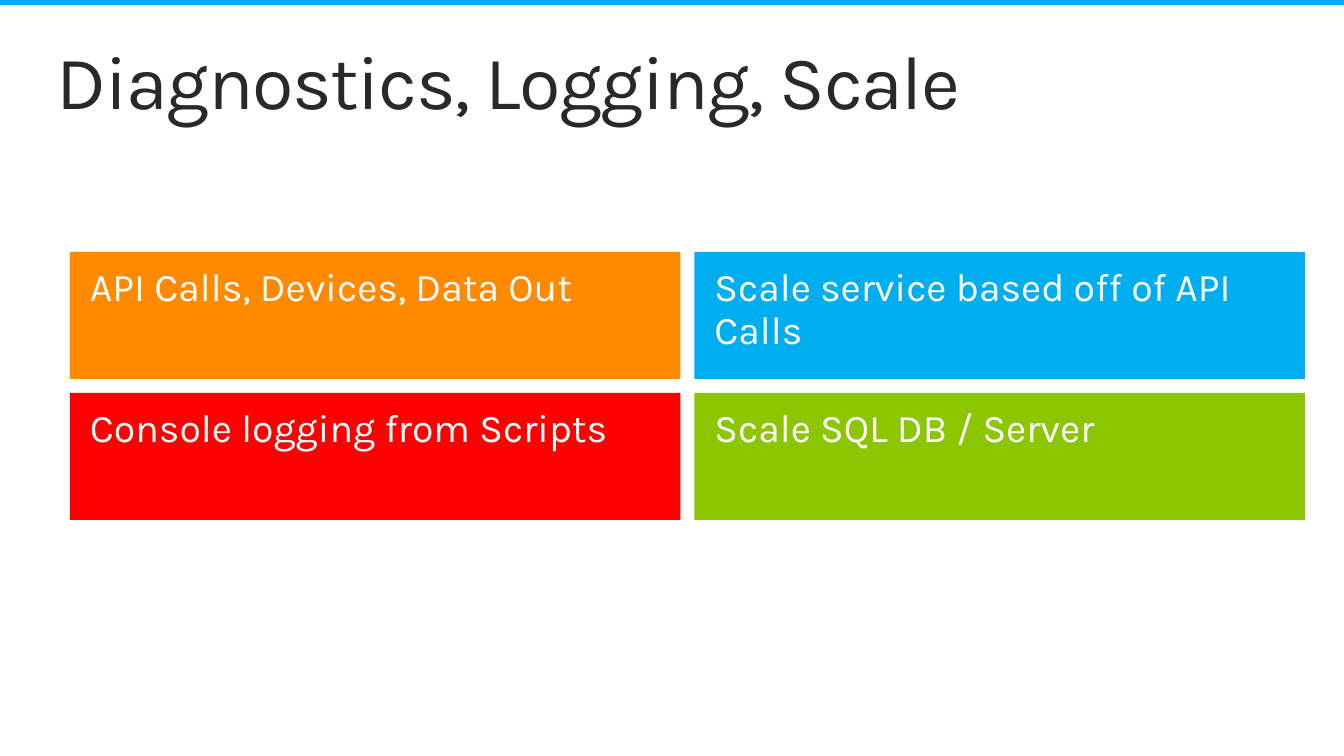
import pptx
import pptx.dml.color
import pptx.enum.shapes
import pptx.enum.text
import pptx.util

SCALE = 914400 / 100.8
FONT = "Karla"
COLORS = {
    "blue": "00AEEF",
    "orange": "FF8A00",
    "red": "FF0000",
    "green": "8CC600",
    "dark": "292929",
    "white": "FFFFFF",
}
TILES = [
    [("API Calls, Devices, Data Out", "orange"), ("Scale service based off of API Calls", "blue")],
    [("Console logging from Scripts", "red"), ("Scale SQL DB / Server", "green")],
]


def px(n):
    return pptx.util.Emu(round(n * SCALE))


def rgb(name):
    return pptx.dml.color.RGBColor.from_string(COLORS[name])


def add_rect(slide, box, color):
    s = slide.shapes.add_shape(pptx.enum.shapes.MSO_SHAPE.RECTANGLE, *map(px, box))
    s.shadow.inherit = False
    s.fill.solid()
    s.fill.fore_color.rgb = rgb(color)
    s.line.fill.background()
    return s


def set_text(s, text, size, color, inset_x=0, inset_y=0):
    tf = s.text_frame
    tf.word_wrap = True
    tf.auto_size = pptx.enum.text.MSO_AUTO_SIZE.NONE
    tf.vertical_anchor = pptx.enum.text.MSO_ANCHOR.TOP
    tf.margin_left = tf.margin_right = px(inset_x)
    tf.margin_top = tf.margin_bottom = px(inset_y)
    tf.text = text
    p = tf.paragraphs[0]
    p.alignment = pptx.enum.text.PP_ALIGN.LEFT
    p.line_spacing = 0.9
    p.font.name = FONT
    p.font.size = pptx.util.Pt(size)
    p.font.color.rgb = rgb(color)
    return p


def add_title(slide, box, text):
    s = slide.shapes.title
    s.left, s.top, s.width, s.height = map(px, box)
    p = set_text(s, text, 54, "dark")
    p.runs[0].font._element.set("spc", "-100")


def add_tiles(slide, box, rows, gap):
    left, top, width, height = box
    tile_w = (width - gap * (len(rows[0]) - 1)) / len(rows[0])
    tile_h = (height - gap * (len(rows) - 1)) / len(rows)
    for i, row in enumerate(rows):
        for j, (text, color) in enumerate(row):
            x = left + j * (tile_w + gap)
            y = top + i * (tile_h + gap)
            s = add_rect(slide, (x, y, tile_w, tile_h), color)
            set_text(s, text, 28, "white", 20, 16)


prs = pptx.Presentation()
prs.slide_width, prs.slide_height = px(1344), px(756)
slide = prs.slides.add_slide(prs.slide_layouts[5])
add_rect(slide, (0, 0, 1344, 5), "blue")
add_title(slide, (57, 44, 1229, 84), "Diagnostics, Logging, Scale")
add_tiles(slide, (70, 252, 1235, 268), TILES, 14)
prs.save("out.pptx")
